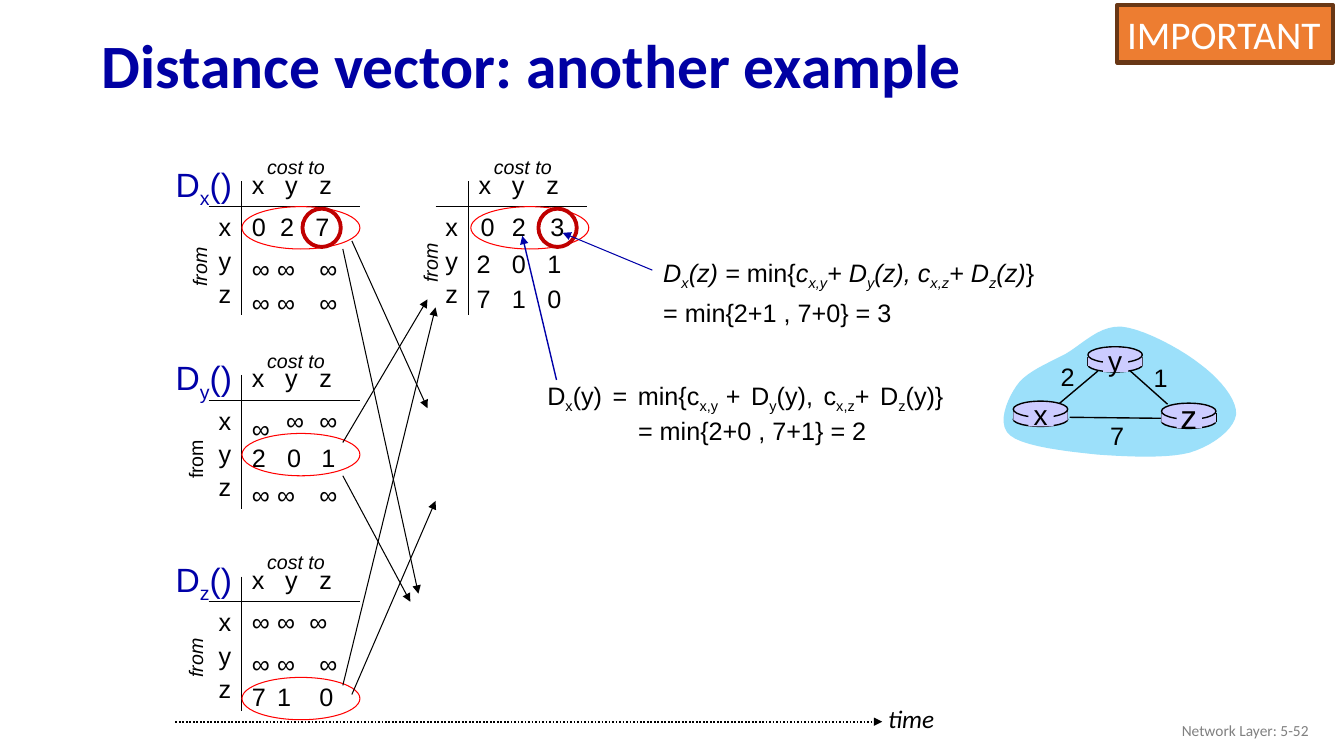
from pptx import Presentation
from pptx.dml.color import RGBColor
from pptx.enum import dml, shapes, text as tx
from pptx.oxml.ns import qn
from pptx.util import Inches, Pt
from lxml import etree

NAVY = RGBColor(0x00, 0x00, 0xA3)
BLUE = RGBColor(0x00, 0x00, 0xA8)
BLACK = RGBColor(0, 0, 0)
WHITE = RGBColor(255, 255, 255)
GRAY = RGBColor(0x80, 0x80, 0x80)
RED = RGBColor(255, 0, 0)
DARK_RED = RGBColor(0xC0, 0, 0)
ORANGE = RGBColor(0xED, 0x7D, 0x31)
BROWN = RGBColor(0x68, 0x37, 0x15)
SKY = RGBColor(0x9C, 0xE0, 0xFA)
LILAC = RGBColor(0xCC, 0xCC, 0xFF)

ALIGN = tx.PP_ALIGN
RECT, OVAL = shapes.MSO_SHAPE.RECTANGLE, shapes.MSO_SHAPE.OVAL
EVEN = (0, 0.25, 0.67)
INFINITE = "∞∞∞"


def write(frame, content, size=18, font="Arial", color=BLACK, bold=False, italic=False,
          align=ALIGN.LEFT, anchor=tx.MSO_ANCHOR.TOP, spacing=None, wrap=False,
          hanging=0, tabs=()):
    """Fill a text frame; |a| is a subscript, ~a~ flips italics, a vertical tab breaks the line."""
    frame.word_wrap = wrap
    frame.vertical_anchor = anchor
    for number, line in enumerate(content.split("\n")):
        paragraph = frame.add_paragraph() if number else frame.paragraphs[0]
        paragraph.alignment = align
        if spacing:
            paragraph.line_spacing = spacing
        properties = paragraph._p.get_or_add_pPr()
        if hanging:
            properties.set("marL", str(Inches(hanging)))
            properties.set("indent", str(-Inches(hanging)))
        if tabs:
            stops = etree.SubElement(properties, qn("a:tabLst"))
            for stop in tabs:
                etree.SubElement(stops, qn("a:tab"), pos=str(Inches(stop)), algn="l")
        for row, part in enumerate(line.split("\v")):
            if row:
                paragraph.add_line_break()
            for index, level in enumerate(part.split("|")):
                for flip, words in enumerate(level.split("~")):
                    if not words:
                        continue
                    run = paragraph.add_run()
                    run.text = words
                    run.font.size, run.font.name = Pt(size), font
                    run.font.color.rgb = color
                    run.font.bold = bold
                    run.font.italic = italic != (flip % 2 == 1)
                    if index % 2:
                        run._r.get_or_add_rPr().set("baseline", "-25000")


def label(slide, content, x, y, w, h=0.4, rotation=0, **style):
    box = slide.shapes.add_textbox(Inches(x), Inches(y), Inches(w), Inches(h))
    box.rotation = rotation
    write(box.text_frame, content, **style)


def paint(shape, fill=None, line=None, width=1):
    shape.shadow.inherit = False
    if fill is None:
        shape.fill.background()
    else:
        shape.fill.solid()
        shape.fill.fore_color.rgb = fill
    if line is None:
        shape.line.fill.background()
    else:
        shape.line.color.rgb = line
        shape.line.width = Pt(width)


def add_shape(slide, kind, x, y, w, h, **look):
    shape = slide.shapes.add_shape(kind, Inches(x), Inches(y), Inches(w), Inches(h))
    paint(shape, **look)
    return shape


def add_line(slide, x1, y1, x2, y2, color=BLACK, width=0.75, arrow=False, dash=None):
    line = slide.shapes.add_connector(shapes.MSO_CONNECTOR.STRAIGHT, Inches(x1), Inches(y1),
                                      Inches(x2), Inches(y2))
    line.line.color.rgb = color
    line.line.width = Pt(width)
    if dash:
        line.line.dash_style = dash
    if arrow:
        etree.SubElement(line.line._get_or_add_ln(), qn("a:tailEnd"), type="triangle")
    etree.SubElement(line._element.spPr, qn("a:effectLst"))


def distance_table(slide, x, y, rows, ring, from_at, owner=None, from_italic=True):
    """Draw one table whose axes cross at x, y; rows hold (offset, values, columns)."""
    add_line(slide, x, y - 0.25, x, y + 1.08)
    add_line(slide, x - 0.33, y, x + 1.17, y)
    label(slide, "x\ty\tz", x, y - 0.42, 1.2, wrap=True, tabs=(0.33, 0.67))
    for index, node in enumerate("xyz"):
        label(slide, node, x - 0.33, y + index * 0.33, 0.33)
    for offset, values, columns in rows:
        for value, column in zip(values, columns):
            label(slide, value, x + column, y + offset, 0.38 if value == "∞" else 0.34)
    label(slide, "cost to", x + 0.15, y - 0.56, 0.85, 0.33, size=14, italic=True)
    label(slide, "from", x + from_at[0], y + from_at[1], 0.59, 0.33, rotation=270,
          size=14, italic=from_italic)
    if owner:
        label(slide, f"D|{owner}|()", x - 0.78, y - 0.45, 0.78, 0.44, size=24, color=BLUE,
              align=ALIGN.RIGHT, spacing=0.85)
    add_shape(slide, OVAL, x + ring[0], y + ring[1], 1.17, 0.42, line=RED, width=0.75)


def router(slide, name, x, y, size=20):
    add_shape(slide, OVAL, x, y + 0.11, 0.54, 0.14, fill=LILAC, line=BLACK)
    for side in (x, x + 0.54):
        add_line(slide, side, y + 0.1, side, y + 0.19, width=1)
    add_shape(slide, RECT, x, y + 0.1, 0.54, 0.09, fill=LILAC)
    add_shape(slide, OVAL, x, y, 0.54, 0.16, fill=LILAC, line=BLACK)
    add_shape(slide, RECT, x + 0.15, y + 0.02, 0.25, 0.23, fill=LILAC)
    label(slide, name, x + 0.09, y - 0.12, 0.36, 0.5, size=size, align=ALIGN.CENTER,
          anchor=tx.MSO_ANCHOR.MIDDLE)


def cloud(slide, x, y, steps=10):
    start = (0.2, 0.6)
    curves = [((0.29, 0.46), (0.52, 0.37), (0.69, 0.28)), ((0.86, 0.18), (1.02, 0), (1.24, 0.01)),
              ((1.46, 0.03), (1.83, 0.23), (2.02, 0.38)), ((2.21, 0.52), (2.39, 0.73), (2.38, 0.88)),
              ((2.36, 1.03), (2.15, 1.19), (1.92, 1.26)), ((1.69, 1.32), (1.3, 1.3), (1.01, 1.28)),
              ((0.71, 1.25), (0.27, 1.2), (0.14, 1.09)), ((0, 0.98), (0.11, 0.73), start)]
    points, begin = [], start
    for curve in curves:
        for step in range(1, steps + 1):
            t = step / steps
            weights = ((1 - t) ** 3, 3 * t * (1 - t) ** 2, 3 * t * t * (1 - t), t ** 3)
            points.append(tuple(Inches(origin + sum(k * p[axis] for k, p in zip(weights, (begin, *curve))))
                                for axis, origin in enumerate((x, y))))
        begin = curve[-1]
    outline = slide.shapes.build_freeform(Inches(x + start[0]), Inches(y + start[1]))
    outline.add_line_segments(points, close=True)
    paint(outline.convert_to_shape(), fill=SKY)


def network(slide, x, y):
    cloud(slide, x, y)
    for x1, y1, x2, y2 in ((0.63, 0.77, 1.01, 0.45), (1.33, 0.45, 1.7, 0.78), (0.73, 0.91, 1.66, 0.92)):
        add_line(slide, x + x1, y + y1, x + x2, y + y2, width=1)
    router(slide, "x", x + 0.17, y + 0.75)
    router(slide, "z", x + 1.64, y + 0.77, size=24)
    router(slide, "y", x + 0.91, y + 0.21)
    for cost, dx, dy in (("2", 0.54, 0.31), ("1", 1.46, 0.32), ("7", 1.03, 0.89)):
        label(slide, cost, x + dx, y + dy, 0.34, align=ALIGN.CENTER)


def tables(slide):
    distance_table(slide, 2.4, 2.05, [(0, "027", (0, 0.28, 0.63)), (0.41, INFINITE, EVEN),
                                      (0.75, INFINITE, EVEN)], (0, 0), (-0.72, 0.43), "x")
    distance_table(slide, 4.65, 2.05, [(0, "023", (0.02, 0.33, 0.71)), (0.36, "201", (-0.02, 0.33, 0.68)),
                                       (0.71, "710", (-0.02, 0.33, 0.68))], (0.02, 0), (-0.68, 0.39))
    distance_table(slide, 2.4, 3.97, [(0.08, "∞", (0,)), (0, "∞∞", (0.34, 0.67)),
                                      (0.37, "201", (0, 0.35, 0.69)), (0.74, INFINITE, EVEN)],
                   (0, 0.33), (-0.76, 0.42), "y", from_italic=False)
    distance_table(slide, 2.4, 5.97, [(0, INFINITE, (0, 0.25, 0.57)), (0.41, INFINITE, EVEN),
                                      (0.74, "710", EVEN)], (0, 0.75), (-0.76, 0.39), "z")
    for x in (3, 5.34):
        add_shape(slide, OVAL, x, 2.07, 0.38, 0.38, line=DARK_RED, width=2.75)


def exchanges(slide):
    for ends in ((3.49, 2.39, 4.24, 4.05), (3.4, 2.47, 4.15, 5.89), (3.4, 4.39, 4.24, 2.97),
                 (3.4, 4.72, 4.07, 5.97), (3.4, 6.8, 4.32, 3.05), (3.49, 6.89, 4.32, 4.97)):
        add_line(slide, *ends, arrow=True)
    add_line(slide, 1.74, 7.16, 8.75, 7.16, width=1.25, arrow=True, dash=dml.MSO_LINE.ROUND_DOT)
    label(slide, "time", 8.71, 6.93, 0.67, font="Calibri", italic=True)


def formulas(slide):
    label(slide, "D|x|(y) = min{c|x,y |+ D|y|(y), c|x,z|+ D|z|(y)} \v= min{2+0 , 7+1} = 2",
          5.33, 3.74, 4.23, 0.71, align=ALIGN.JUSTIFY, anchor=tx.MSO_ANCHOR.MIDDLE,
          wrap=True, hanging=0.9)
    add_line(slide, 5.52, 3.77, 5.18, 2.34, color=BLUE, width=1, arrow=True)
    label(slide, "D|x|(z) = ~min{~c|x,y|+ D|y|(z), c|x,z|+ D|z|(z)~}~\n= min{2+1 , 7+0} = 3".replace(
          "\n= min{2+1 , 7+0} = 3", "\n~= min{2+1 , 7+0} = 3~"),
          6.48, 2.47, 4, 0.79, italic=True, anchor=tx.MSO_ANCHOR.MIDDLE, spacing=1.2, wrap=True)
    add_line(slide, 6.47, 2.68, 5.58, 2.31, color=BLUE, arrow=True)


def heading(slide):
    label(slide, "Distance vector: another example", 0.91, 0.19, 11.91, 0.98, size=44, font="Calibri",
          color=NAVY, bold=True, anchor=tx.MSO_ANCHOR.MIDDLE, spacing=0.9, wrap=True)
    badge = add_shape(slide, RECT, 11.08, 0.05, 2.14, 0.57, fill=ORANGE, line=BROWN, width=3)
    write(badge.text_frame, "IMPORTANT", size=28, font="Calibri", color=WHITE)


def main():
    deck = Presentation()
    deck.slide_width, deck.slide_height = Inches(13.33), Inches(7.5)
    slide = deck.slides.add_slide(deck.slide_layouts[6])
    heading(slide)
    tables(slide)
    exchanges(slide)
    network(slide, 9.88, 3.23)
    formulas(slide)
    label(slide, "Network Layer: 5-52", 10.08, 7.05, 3, size=11, font="Calibri", color=GRAY,
          align=ALIGN.RIGHT, anchor=tx.MSO_ANCHOR.MIDDLE, wrap=True)
    deck.save("out.pptx")


if __name__ == "__main__":
    main()
